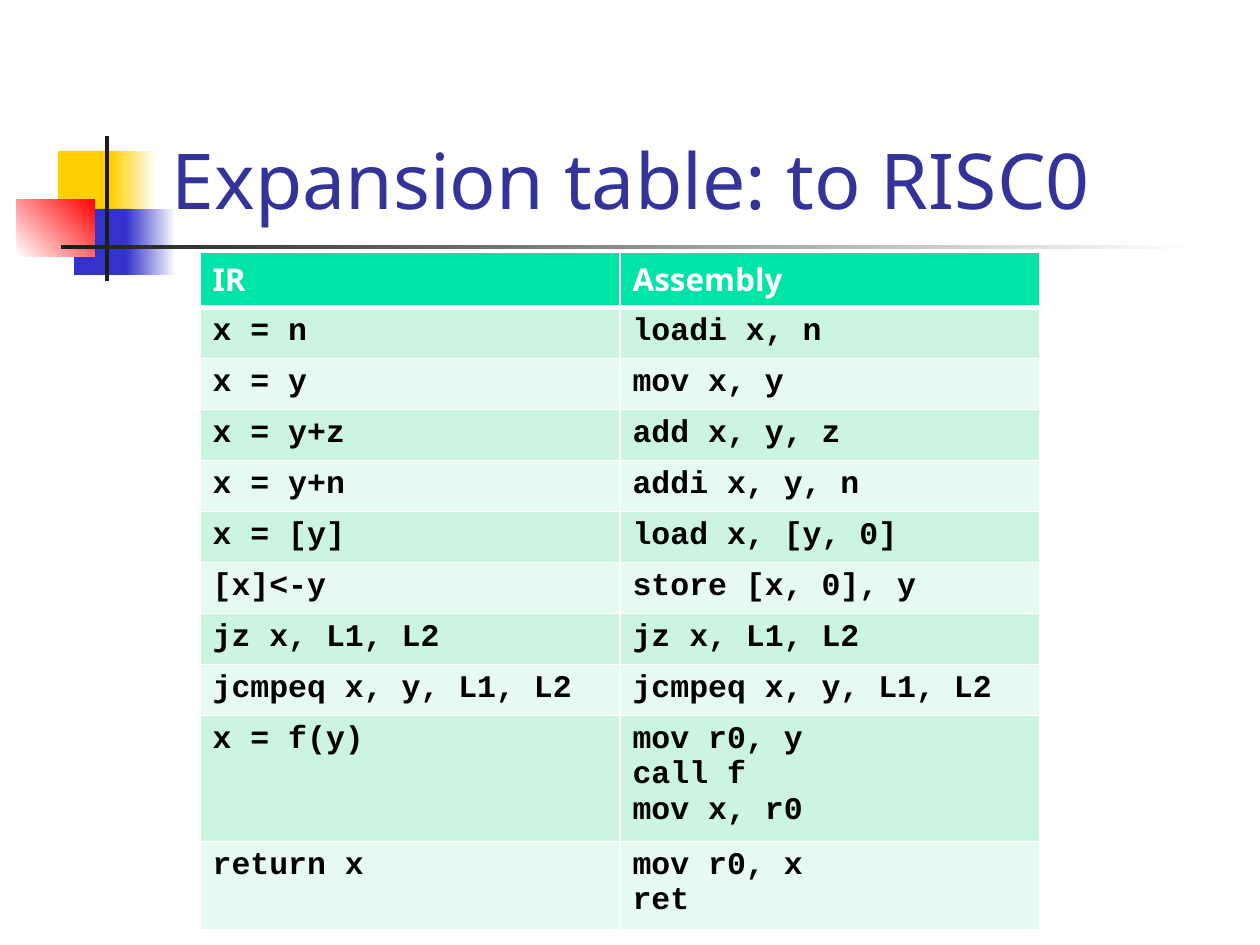
"""Build the slide with the expansion table from IR to RISC0 assembly."""
import pptx
import pptx.dml.color
import pptx.enum.shapes
import pptx.enum.text
import pptx.oxml
import pptx.oxml.ns
import pptx.util

RGB = pptx.dml.color.RGBColor
WHITE = RGB(0xFF, 0xFF, 0xFF)
BLACK = RGB(0, 0, 0)
YELLOW = RGB(0xFF, 0xCF, 0x01)
BLUE = RGB(0x33, 0x33, 0xCC)
RED = RGB(0xFF, 0, 0)
CHARCOAL = RGB(0x1C, 0x1C, 0x1C)
NAVY = RGB(0x33, 0x33, 0x99)
HEADER = RGB(0x00, 0xE4, 0xA8)
BANDS = (RGB(0xCC, 0xF5, 0xE1), RGB(0xE7, 0xFA, 0xF1))

SANS, MONO = "Noto Sans", "Courier New"
PX_PER_INCH = 126
ROW_H = 51
TALL_ROWS = {9: 126, 10: 88}
BARS = [
    ((58, 151, 60, 66), (YELLOW,), 0),
    ((111, 151, 45, 66), (YELLOW, WHITE), 0),
    ((74, 209, 58, 66), (BLUE,), 0),
    ((126, 209, 50, 66), (BLUE, WHITE), 0),
    ((17, 199, 78, 58), (WHITE, RED), 45),
    ((105, 136, 4, 145), (CHARCOAL,), 0),
    ((61, 245, 1134, 4), (CHARCOAL, WHITE), 0),
]
ROWS = [
    ("IR", "Assembly"),
    ("x = n", "loadi x, n"),
    ("x = y", "mov x, y"),
    ("x = y+z", "add x, y, z"),
    ("x = y+n", "addi x, y, n"),
    ("x = [y]", "load x, [y, 0]"),
    ("[x]<-y", "store [x, 0], y"),
    ("jz x, L1, L2", "jz x, L1, L2"),
    ("jcmpeq x, y, L1, L2", "jcmpeq x, y, L1, L2"),
    ("x = f(y)", "mov r0, y\ncall f\nmov x, r0"),
    ("return x", "mov r0, x\nret"),
]


def px(n):
    """Turn pixels into EMU."""
    return pptx.util.Emu(round(n * 914400 / PX_PER_INCH))


def format_text(tf, font, size, color, bold=False):
    """Format every run of a text frame."""
    for p in tf.paragraphs:
        for r in p.runs:
            r.font.name = font
            r.font.size = pptx.util.Pt(size)
            r.font.bold = bold
            r.font.color.rgb = color


def add_bar(s, box, colors, angle):
    """Add a borderless rectangle with a solid or two-colour gradient fill."""
    sp = s.shapes.add_shape(pptx.enum.shapes.MSO_SHAPE.RECTANGLE, *map(px, box))
    sp.shadow.inherit = False
    sp.line.fill.background()
    if len(colors) == 1:
        sp.fill.solid()
        sp.fill.fore_color.rgb = colors[0]
        return
    sp.fill.gradient()
    sp.fill.gradient_angle = angle
    for stop, color, position in zip(sp.fill.gradient_stops, colors, (0, 1)):
        stop.color.rgb = color
        stop.position = position


def set_title(s, text):
    """Place and format the title in front of the bars."""
    sp = s.shapes.title
    s.shapes._spTree.append(sp._element)
    sp.left, sp.top, sp.width, sp.height = map(px, (159, 29, 1074, 202))
    tf = sp.text_frame
    tf.text = text
    tf.word_wrap = True
    tf.auto_size = pptx.enum.text.MSO_AUTO_SIZE.NONE
    tf.vertical_anchor = pptx.enum.text.MSO_ANCHOR.BOTTOM
    tf.paragraphs[0].alignment = pptx.enum.text.PP_ALIGN.LEFT
    format_text(tf, SANS, 44, NAVY)


def set_borders(cell, widths):
    """Give a cell white borders with a width in points for each side."""
    tc_pr = cell._tc.get_or_add_tcPr()
    for side, width in widths.items():
        tc_pr.append(pptx.oxml.parse_xml(
            f'<a:ln{side} {pptx.oxml.ns.nsdecls("a")} w="{pptx.util.Pt(width)}">'
            f'<a:solidFill><a:srgbClr val="{WHITE}"/></a:solidFill></a:ln{side}>'))


def fill_cell(cell, text, row):
    """Write and format one cell according to its row."""
    header = row == 0
    set_borders(cell, {"L": 1, "R": 1, "T": 3 if row == 1 else 1, "B": 3 if header else 1})
    cell.fill.solid()
    cell.fill.fore_color.rgb = HEADER if header else BANDS[(row - 1) % 2]
    cell.text_frame.text = text
    font, color = (SANS, WHITE) if header else (MONO, BLACK)
    format_text(cell.text_frame, font, 18, color, bold=True)


def add_expansion_table(s):
    """Add the table of IR forms and their assembly."""
    heights = [TALL_ROWS.get(i, ROW_H) for i in range(len(ROWS))]
    table = s.shapes.add_table(
        len(ROWS), 2, px(200), px(252), px(840), px(sum(heights))).table
    for i, texts in enumerate(ROWS):
        table.rows[i].height = px(heights[i])
        for j, text in enumerate(texts):
            fill_cell(table.cell(i, j), text, i)


def main():
    """Build and save the slide."""
    prs = pptx.Presentation()
    prs.slide_width, prs.slide_height = px(1260), px(945)
    s = prs.slides.add_slide(prs.slide_layouts[5])
    for bar in BARS:
        add_bar(s, *bar)
    set_title(s, "Expansion table: to RISC0")
    add_expansion_table(s)
    prs.save("out.pptx")


if __name__ == "__main__":
    main()
